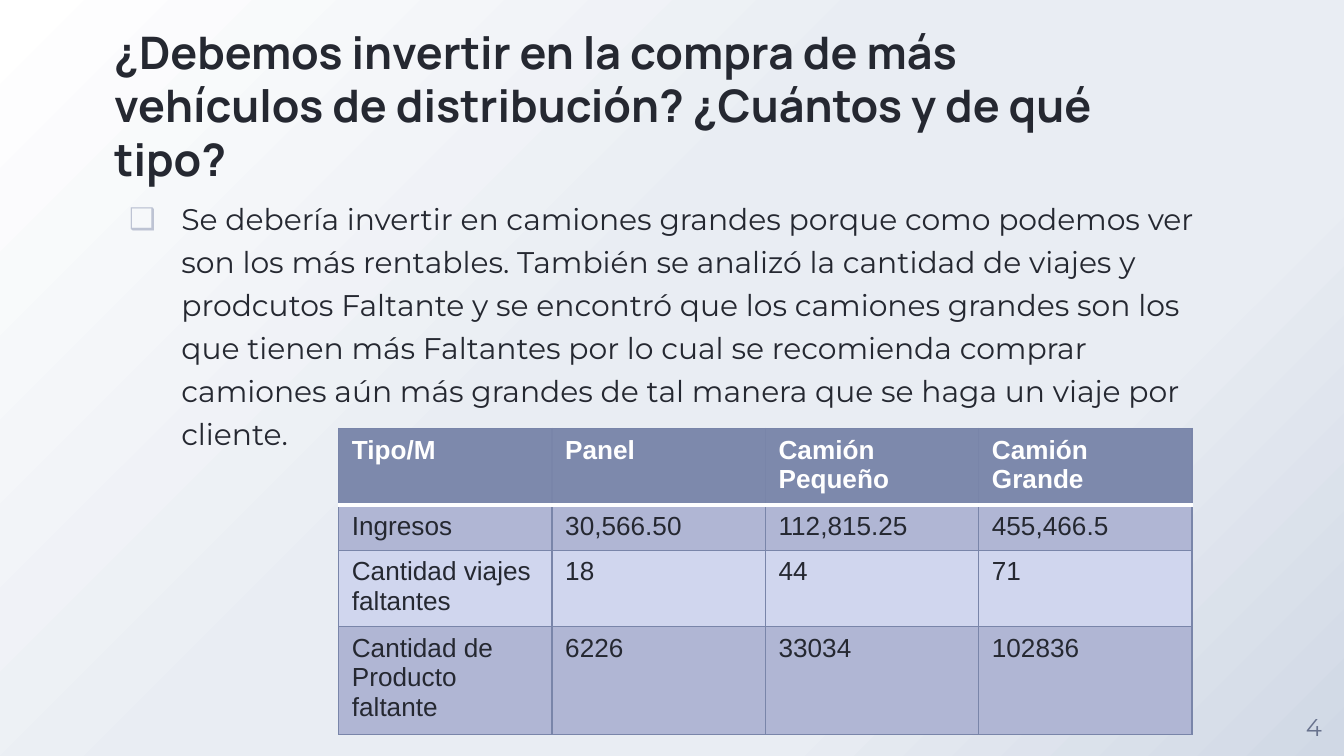
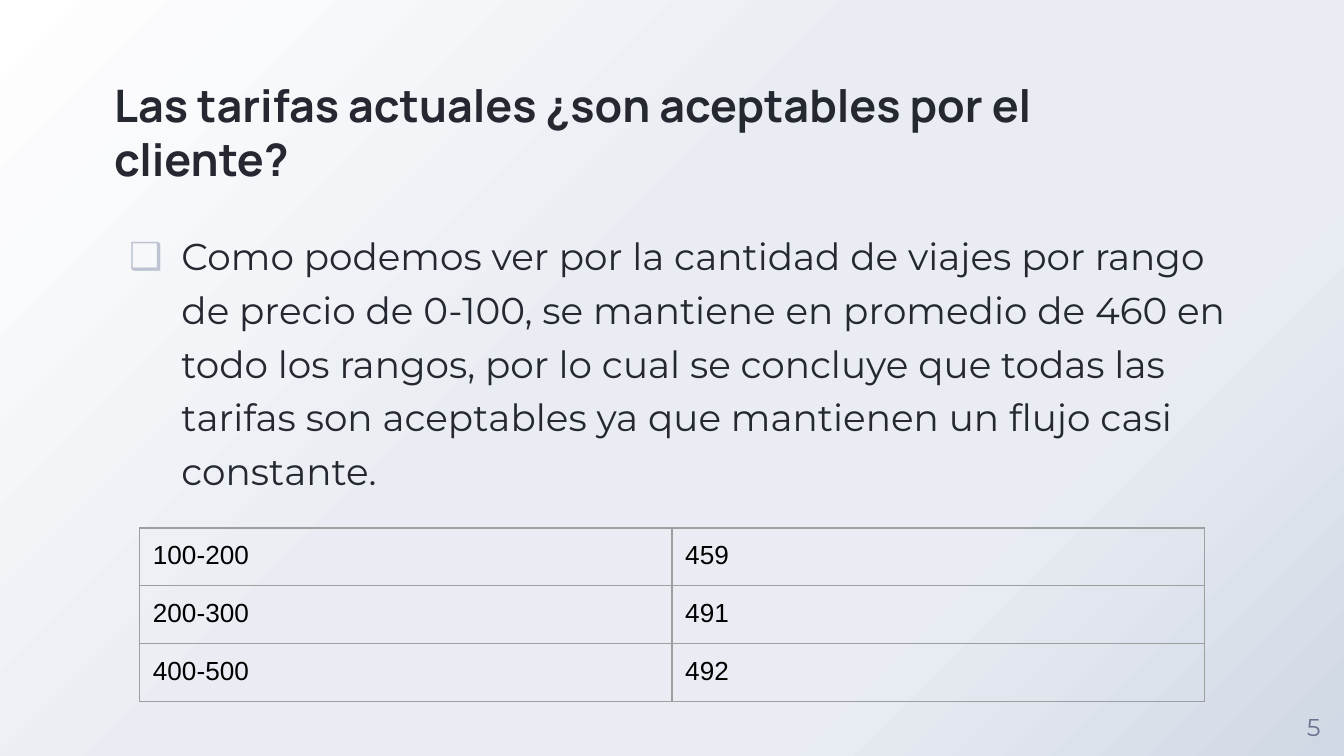
from dataclasses import dataclass

from lxml import etree
from pptx import Presentation
from pptx.dml.color import RGBColor
from pptx.enum.text import MSO_ANCHOR, PP_ALIGN
from pptx.oxml import parse_xml
from pptx.oxml.ns import qn
from pptx.slide import Slide
from pptx.table import _Cell
from pptx.text.text import TextFrame
from pptx.util import Cm, Pt

TOP, MIDDLE, BOTTOM = MSO_ANCHOR.TOP, MSO_ANCHOR.MIDDLE, MSO_ANCHOR.BOTTOM
LEFT, CENTER = PP_ALIGN.LEFT, PP_ALIGN.CENTER
DRAWING = "http://schemas.openxmlformats.org/drawingml/2006/main"
SIDES = "LRTB"


@dataclass(frozen=True)
class Theme:
    ink: str = "252831"
    black: str = "000000"
    white: str = "FFFFFF"
    bullet: str = "BDC3D3"
    number: str = "68728D"
    head: str = "7D89AC"
    dark: str = "B0B6D4"
    light: str = "D0D6EE"
    edge: str = "7985A9"
    grid: str = "9E9E9E"
    stops: tuple = ((0, "FFFFFF"), (44, "E9EDF3"), (72, "E9EDF3"), (100, "D0D8E5"))
    title_font: str = "Manrope"
    body_font: str = "Montserrat"
    table_font: str = "Arial"
    title_size: int = 24
    table_size: int = 14
    number_size: int = 13


THEME = Theme()


@dataclass(frozen=True)
class Box:
    x: float
    y: float
    w: float
    h: float


@dataclass(frozen=True)
class Grid:
    """A table: its place, row heights in cm, and look."""
    x: float
    y: float
    width: float
    heights: tuple
    rows: tuple
    edge: str
    ink: str
    pad: float
    fills: tuple = ()
    header: bool = False


@dataclass(frozen=True)
class Page:
    number: int
    title: str
    text: str
    size: int
    top: float
    grid: Grid


TITLE = Box(2.16, 1.12, 18.47, 2.39)
NUMBER = Box(24.26, 13.16, 1.14, 1.14)
BODY_X, BODY_W, BODY_H = 2.16, 21.08, 8.15

PAGES = (
    Page(
        4,
        "¿Debemos invertir en la compra de más vehículos de distribución? "
        "¿Cuántos y de qué tipo?",
        "Se debería invertir en camiones grandes porque como podemos ver son los "
        "más rentables. También se analizó la cantidad de viajes y prodcutos "
        "Faltante y se encontró que los camiones grandes son los que tienen más "
        "Faltantes por lo cual se recomienda comprar camiones aún más grandes de "
        "tal manera que se haga un viaje por cliente.",
        16, 3.66,
        Grid(
            6.4, 8.1, 16.13, (1.32, 0.79, 1.32, 1.88),
            (
                ("Tipo/M", "Panel", "Camión Pequeño", "Camión Grande"),
                ("Ingresos", "30,566.50", "112,815.25", "455,466.5"),
                ("Cantidad viajes faltantes", "18", "44", "71"),
                ("Cantidad de Producto faltante", "6226", "33034", "102836"),
            ),
            THEME.edge, THEME.ink, 0.13,
            (THEME.head, THEME.dark, THEME.light, THEME.dark), True,
        ),
    ),
    Page(
        5,
        "Las tarifas actuales ¿son aceptables por el cliente?",
        "Como podemos ver por la cantidad de viajes por rango de precio de 0-100, "
        "se mantiene en promedio de 460 en todo los rangos, por lo cual se "
        "concluye que todas las tarifas son aceptables ya que mantienen un flujo "
        "casi constante.",
        20, 4.24,
        Grid(
            2.64, 9.98, 20.12, (1.07,) * 3,
            (("100-200", "459"), ("200-300", "491"), ("400-500", "492")),
            THEME.grid, THEME.black, 0.25,
        ),
    ),
)


def write(frame: TextFrame, text: str, *, font: str, size: int, color: str,
          bold: bool = False, align: PP_ALIGN = LEFT, bullet: str = "") -> None:
    para = frame.paragraphs[0]
    para.alignment = align
    run = para.add_run()
    run.text = text
    run.font.name, run.font.size, run.font.bold = font, Pt(size), bold
    run.font.color.rgb = RGBColor.from_string(color)
    if bullet:
        para.line_spacing, para.space_before = 1.2, Pt(6)
        props = para._p.get_or_add_pPr()
        props.set("marL", str(Cm(1.27)))
        props.set("indent", str(-Cm(0.99)))
        tint = etree.SubElement(props, qn("a:buClr"))
        etree.SubElement(tint, qn("a:srgbClr"), val=THEME.bullet)
        etree.SubElement(props, qn("a:buFont"), typeface=font)
        etree.SubElement(props, qn("a:buChar"), char=bullet)


def add_frame(slide: Slide, box: Box, anchor: MSO_ANCHOR) -> TextFrame:
    shape = slide.shapes.add_textbox(Cm(box.x), Cm(box.y), Cm(box.w), Cm(box.h))
    frame = shape.text_frame
    frame.word_wrap = True
    frame.vertical_anchor = anchor
    frame.margin_left = frame.margin_right = 0
    frame.margin_top = frame.margin_bottom = 0
    return frame


def set_edge(cell: _Cell, side: str, color: str, width: float) -> None:
    props = cell._tc.get_or_add_tcPr()
    line = etree.SubElement(props, qn(f"a:ln{side}"), w=str(Pt(width)))
    fill = etree.SubElement(line, qn("a:solidFill"))
    etree.SubElement(fill, qn("a:srgbClr"), val=color)


def add_grid(slide: Slide, grid: Grid) -> None:
    count = len(grid.rows[0])
    table = slide.shapes.add_table(
        len(grid.rows), count, Cm(grid.x), Cm(grid.y),
        Cm(grid.width), Cm(sum(grid.heights))).table
    table.first_row = grid.header
    table.horz_banding = False
    for col in table.columns:
        col.width = Cm(grid.width / count)
    for i, (texts, height) in enumerate(zip(grid.rows, grid.heights)):
        table.rows[i].height = Cm(height)
        head = grid.header and i == 0
        for j, text in enumerate(texts):
            cell = table.cell(i, j)
            cell.margin_left = cell.margin_right = Cm(0.25)
            cell.margin_top = cell.margin_bottom = Cm(grid.pad)
            for side in SIDES:
                rule = grid.header and (i, side) in ((0, "B"), (1, "T"))
                set_edge(cell, side, THEME.white if rule else grid.edge,
                         2 if rule else 0.75)
            if grid.fills:
                cell.fill.solid()
                cell.fill.fore_color.rgb = RGBColor.from_string(grid.fills[i])
            else:
                cell.fill.background()
            write(cell.text_frame, text, font=THEME.table_font,
                  size=THEME.table_size, bold=head,
                  color=THEME.white if head else grid.ink)


def set_back(slide: Slide) -> None:
    """Fill the background with a gradient spreading from the top left."""
    slide.background.fill.solid()
    solid = slide.background._cSld.find(".//" + qn("a:solidFill"))
    stops = "".join(
        f'<a:gs pos="{at * 1000}"><a:srgbClr val="{color}"/></a:gs>'
        for at, color in THEME.stops)
    fade = parse_xml(
        f'<a:gradFill xmlns:a="{DRAWING}"><a:gsLst>{stops}</a:gsLst>'
        '<a:path path="circle"><a:fillToRect r="100000" b="100000"/></a:path>'
        '</a:gradFill>')
    solid.getparent().replace(solid, fade)


def add_page(slide: Slide, page: Page) -> None:
    set_back(slide)
    write(add_frame(slide, TITLE, BOTTOM), page.title, font=THEME.title_font,
          size=THEME.title_size, color=THEME.ink, bold=True)
    body = Box(BODY_X, page.top, BODY_W, BODY_H)
    write(add_frame(slide, body, TOP), page.text, font=THEME.body_font,
          size=page.size, color=THEME.ink, bullet="❑")
    write(add_frame(slide, NUMBER, MIDDLE), str(page.number),
          font=THEME.body_font, size=THEME.number_size, color=THEME.number,
          align=CENTER)
    add_grid(slide, page.grid)


def main() -> None:
    deck = Presentation()
    deck.slide_width, deck.slide_height = Cm(25.4), Cm(14.29)
    blank = deck.slide_layouts[6]
    for page in PAGES:
        add_page(deck.slides.add_slide(blank), page)
    deck.save("out.pptx")


if __name__ == "__main__":
    main()
